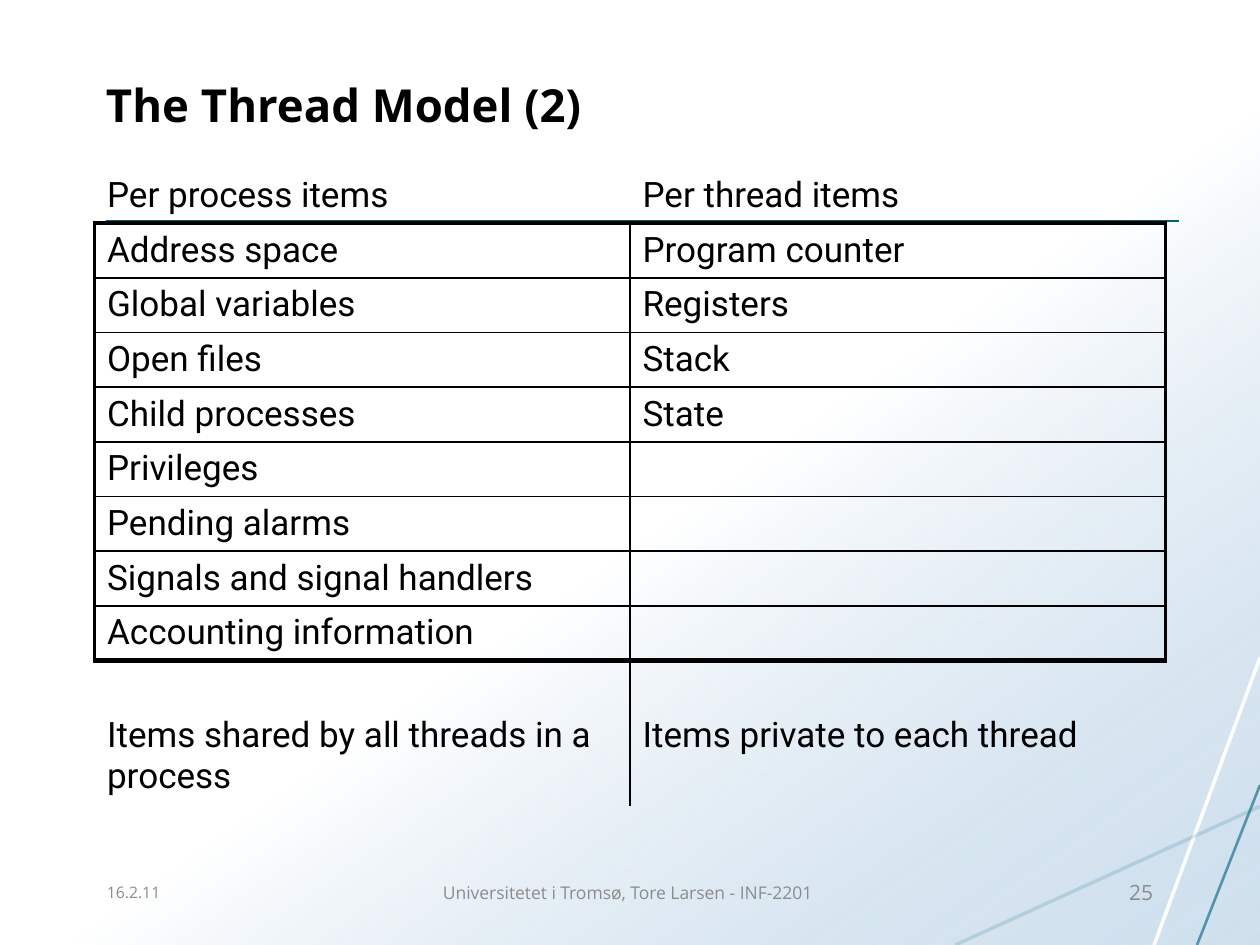
from lxml.etree import SubElement
from pptx import Presentation
from pptx.dml.color import RGBColor
from pptx.enum.shapes import MSO_CONNECTOR, MSO_SHAPE
from pptx.enum.text import MSO_ANCHOR, PP_ALIGN
from pptx.oxml.ns import qn
from pptx.util import Pt

COLORS = {
    "paper": "FFFFFF",
    "haze": "A9C7E0",
    "ink": "000000",
    "muted": "8C8C8C",
    "teal": "00617F",
    "pale_teal": "15718F",
}
NO_GRID_STYLE = "{2D5ABB26-0587-4C30-8999-92F81FD0307C}"
ITEMS = [
    ("Per process items", "Per thread items"),
    ("Address space", "Program counter"),
    ("Global variables", "Registers"),
    ("Open files", "Stack"),
    ("Child processes", "State"),
    ("Privileges", ""),
    ("Pending alarms", ""),
    ("Signals and signal handlers", ""),
    ("Accounting information", ""),
    ("Items shared by all threads in a process", "Items private to each thread"),
]


class SlideBuilder:
    """Draws styled elements on the current slide, with lengths in points."""

    heading_font = "Open Sans"
    table_font = "Roboto"

    def __init__(self, slide):
        self.slide = slide

    def color(self, name):
        return RGBColor.from_string(COLORS[name])

    def set_opacity(self, color_element, percent):
        SubElement(color_element, qn("a:alpha"), val=str(percent * 1000))

    def set_font(self, paragraph, family, size, color, bold=False):
        paragraph.font.name = family
        paragraph.font.size = Pt(size)
        paragraph.font.bold = bold
        paragraph.font.color.rgb = self.color(color)

    def backdrop(self, width, height):
        wash = self.slide.shapes.add_shape(MSO_SHAPE.RECTANGLE, 0, 0, Pt(width), Pt(height))
        wash.shadow.inherit = False
        wash.line.fill.background()
        wash.fill.gradient()
        wash.fill.gradient_angle = 305
        stops = wash.fill.gradient_stops
        for stop, position, name in zip(stops, (0.54, 1), ("paper", "haze")):
            stop.position = position
            stop.color.rgb = self.color(name)
        self.set_opacity(list(wash._element.spPr.iter(qn("a:srgbClr")))[-1], 54)

    def line(self, x1, y1, x2, y2, color, width, opacity=100):
        stroke = self.slide.shapes.add_connector(
            MSO_CONNECTOR.STRAIGHT, Pt(x1), Pt(y1), Pt(x2), Pt(y2))
        stroke.line.width = Pt(width)
        stroke.line.color.rgb = self.color(color)
        properties = stroke._element.spPr
        if opacity < 100:
            self.set_opacity(next(properties.iter(qn("a:srgbClr"))), opacity)
        SubElement(properties, qn("a:effectLst"))

    def text(self, words, left, top, width, height, size, color="muted",
             align=PP_ALIGN.LEFT, anchor=MSO_ANCHOR.MIDDLE, bold=False):
        box = self.slide.shapes.add_textbox(Pt(left), Pt(top), Pt(width), Pt(height))
        frame = box.text_frame
        frame.word_wrap = True
        frame.vertical_anchor = anchor
        paragraph = frame.paragraphs[0]
        paragraph.text = words
        paragraph.alignment = align
        self.set_font(paragraph, self.heading_font, size, color, bold)

    def borders(self, cell, **widths):
        properties = cell._tc.get_or_add_tcPr()
        for side in "LRTB":
            if side in widths:
                edge = SubElement(properties, qn(f"a:ln{side}"), w=str(Pt(widths[side])))
                fill = SubElement(edge, qn("a:solidFill"))
                SubElement(fill, qn("a:srgbClr"), val=COLORS["ink"])

    def table(self, rows, left, top, width, row_height, last_height, last_inset):
        last = len(rows) - 1
        total = row_height * last + last_height
        table = self.slide.shapes.add_table(
            len(rows), 2, Pt(left), Pt(top), Pt(width), Pt(total)).table
        table.first_row = table.horz_banding = False
        next(table._tbl.iter(qn("a:tableStyleId"))).text = NO_GRID_STYLE
        for index, row in enumerate(rows):
            table.rows[index].height = Pt(last_height if index == last else row_height)
            for column, words in enumerate(row):
                cell = table.cell(index, column)
                inner, outer = ("R", "L") if column == 0 else ("L", "R")
                widths = {}
                if index > 0:
                    widths |= {inner: 1, "T": 3 if index in (1, last) else 1}
                if index < last:
                    widths["B"] = 3 if index in (0, last - 1) else 1
                if 0 < index < last:
                    widths[outer] = 2.25
                self.borders(cell, **widths)
                cell.fill.background()
                if index == last:
                    cell.margin_top = Pt(last_inset)
                paragraph = cell.text_frame.paragraphs[0]
                paragraph.text = words
                self.set_font(paragraph, self.table_font, 20, "ink")


def main():
    presentation = Presentation()
    presentation.slide_width, presentation.slide_height = Pt(720), Pt(540)
    builder = SlideBuilder(presentation.slides.add_slide(presentation.slide_layouts[6]))

    builder.backdrop(720, 540)
    builder.line(720, 375.84, 659.5, 540, "paper", 2)
    builder.line(720, 460.8, 545.8, 540, "pale_teal", 2, opacity=16)
    builder.line(720, 448.6, 684, 540, "teal", 1.5, opacity=60)
    builder.line(60.5, 126.3, 673.9, 126.3, "teal", 1)

    builder.text("The Thread Model (2)", 53.5, 20.9, 612, 57.6, 26, "ink",
                 anchor=MSO_ANCHOR.BOTTOM, bold=True)
    builder.table(ITEMS, 54, 96.3, 612, 30.8, 81.8, 31.3)

    builder.text("16.2.11", 54, 492, 150, 36, 9)
    builder.text("Universitetet i Tromsø, Tore Larsen - INF-2201", 246, 492, 228, 36, 10)
    builder.text("25", 516, 492, 150, 36, 12, align=PP_ALIGN.RIGHT)

    presentation.save("out.pptx")


if __name__ == "__main__":
    main()
